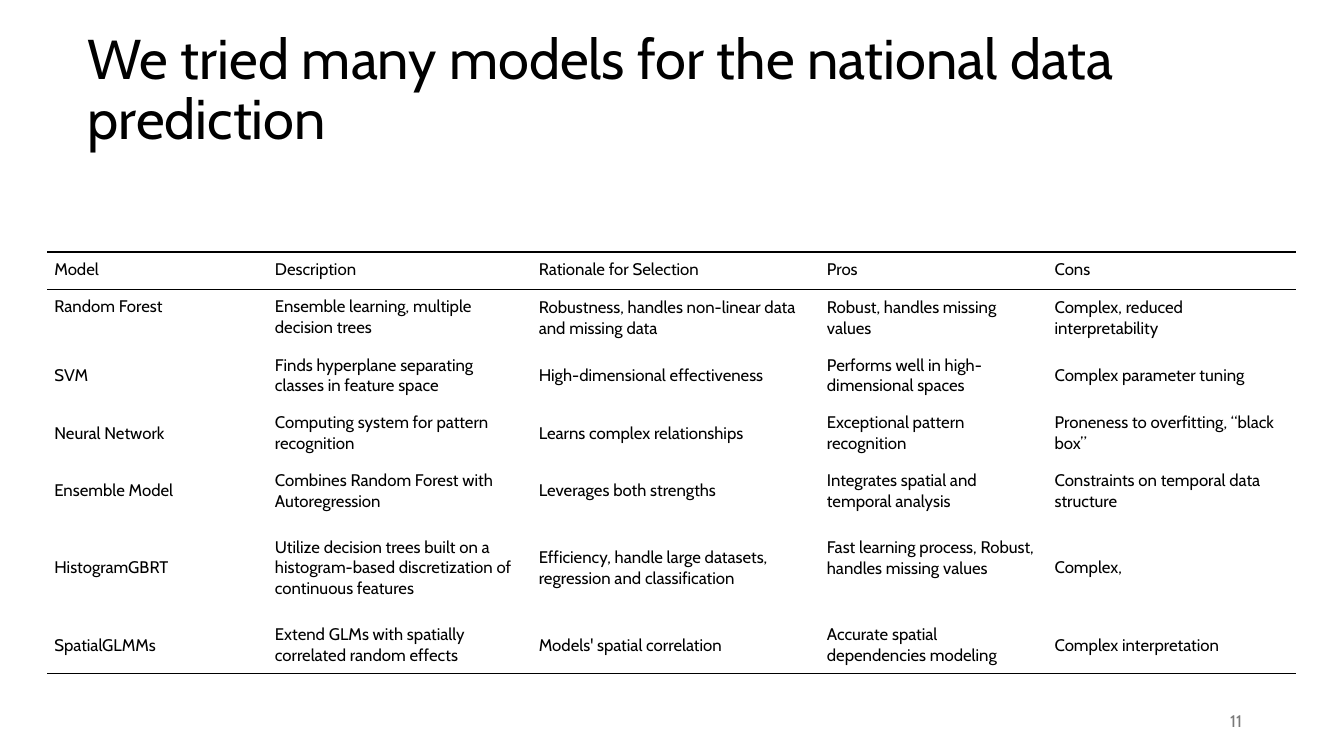
from lxml.etree import SubElement
from pptx import Presentation
from pptx.dml.color import RGBColor
from pptx.enum.text import MSO_ANCHOR as Anchor, PP_ALIGN as Align
from pptx.oxml.ns import qn
from pptx.util import Cm, Pt

FONT = "Cabin"
COLORS = {"ink": "000000", "number": "797979"}
COLUMN_WIDTHS = [5.56, 6.65, 7.26, 5.74, 6.25]
ROW_HEIGHTS = [0.94, 1.45, 1.45, 1.45, 1.45, 2.44, 1.45]
CELL_MARGIN = 0.18
MODELS = [
    ["Model", "Description", "Rationale for Selection", "Pros", "Cons"],
    ["Random Forest", "Ensemble learning, multiple decision trees",
     "Robustness, handles non-linear data and missing data",
     "Robust, handles missing values", "Complex, reduced interpretability"],
    ["SVM", "Finds hyperplane separating classes in feature space",
     "High-dimensional effectiveness",
     "Performs well in high-dimensional spaces", "Complex parameter tuning"],
    ["Neural Network", "Computing system for pattern recognition",
     "Learns complex relationships", "Exceptional pattern recognition",
     "Proneness to overfitting, “black box”"],
    ["Ensemble Model", "Combines Random Forest with Autoregression",
     "Leverages both strengths", "Integrates spatial and temporal analysis",
     "Constraints on temporal data structure"],
    ["HistogramGBRT",
     "Utilize decision trees built on a histogram-based discretization of continuous features",
     "Efficiency, handle large datasets, regression and classification",
     "Fast learning process, Robust, handles missing values", "Complex,"],
    ["SpatialGLMMs", "Extend GLMs with spatially correlated random effects",
     "Models' spatial correlation", "Accurate spatial dependencies modeling",
     "Complex interpretation"],
]


def write_text(frame, text, size=12, color="ink", align=Align.LEFT, spacing=None):
    frame.word_wrap = True
    paragraph = frame.paragraphs[0]
    paragraph.alignment = align
    paragraph.line_spacing = spacing
    run = paragraph.add_run()
    run.text = text
    run.font.name = FONT
    run.font.size = Pt(size)
    run.font.bold = False
    run.font.color.rgb = RGBColor.from_string(COLORS[color])


def add_text_box(slide, left, top, width, height, text, **text_format):
    box = slide.shapes.add_textbox(Cm(left), Cm(top), Cm(width), Cm(height))
    box.text_frame.vertical_anchor = Anchor.MIDDLE
    write_text(box.text_frame, text, **text_format)


def set_borders(cell, ruled_sides):
    properties = cell._tc.get_or_add_tcPr()
    for side in "LRTB":
        line = SubElement(properties, qn(f"a:ln{side}"), w=str(Pt(1)))
        if side in ruled_sides:
            fill = SubElement(line, qn("a:solidFill"))
            SubElement(fill, qn("a:srgbClr"), val=COLORS["ink"])
        else:
            SubElement(line, qn("a:noFill"))


def add_model_table(slide, left, top):
    frame = slide.shapes.add_table(
        len(MODELS), len(COLUMN_WIDTHS), Cm(left), Cm(top),
        Cm(sum(COLUMN_WIDTHS)), Cm(sum(ROW_HEIGHTS)))
    table = frame.table
    table.first_row = False
    table.horz_banding = False
    for column, width in zip(table.columns, COLUMN_WIDTHS):
        column.width = Cm(width)
    for row, height in zip(table.rows, ROW_HEIGHTS):
        row.height = Cm(height)
    ruled_sides = {0: "TB", 1: "T", len(MODELS) - 1: "B"}
    for row_index, texts in enumerate(MODELS):
        for column_index, text in enumerate(texts):
            cell = table.cell(row_index, column_index)
            cell.margin_left = cell.margin_right = Cm(CELL_MARGIN)
            cell.margin_top = cell.margin_bottom = Cm(CELL_MARGIN)
            at_top = row_index == 0 or (row_index == 1 and column_index < 2)
            cell.vertical_anchor = Anchor.TOP if at_top else Anchor.MIDDLE
            set_borders(cell, ruled_sides.get(row_index, ""))
            cell.fill.background()
            write_text(cell.text_frame, text)
    return table


def main():
    presentation = Presentation()
    presentation.slide_width = Cm(33.87)
    presentation.slide_height = Cm(19.05)
    slide = presentation.slides.add_slide(presentation.slide_layouts[6])
    add_text_box(slide, 1.96, 0.69, 30.73, 3.23,
                 "We tried many models for the national data prediction",
                 size=40, spacing=0.9)
    table = add_model_table(slide, 1.19, 6.35)
    table.cell(5, 3).margin_bottom = Cm(CELL_MARGIN + 0.51)
    add_text_box(slide, 23.93, 17.65, 7.62, 1.02, "11",
                 color="number", align=Align.RIGHT)
    presentation.save("out.pptx")


if __name__ == "__main__":
    main()
